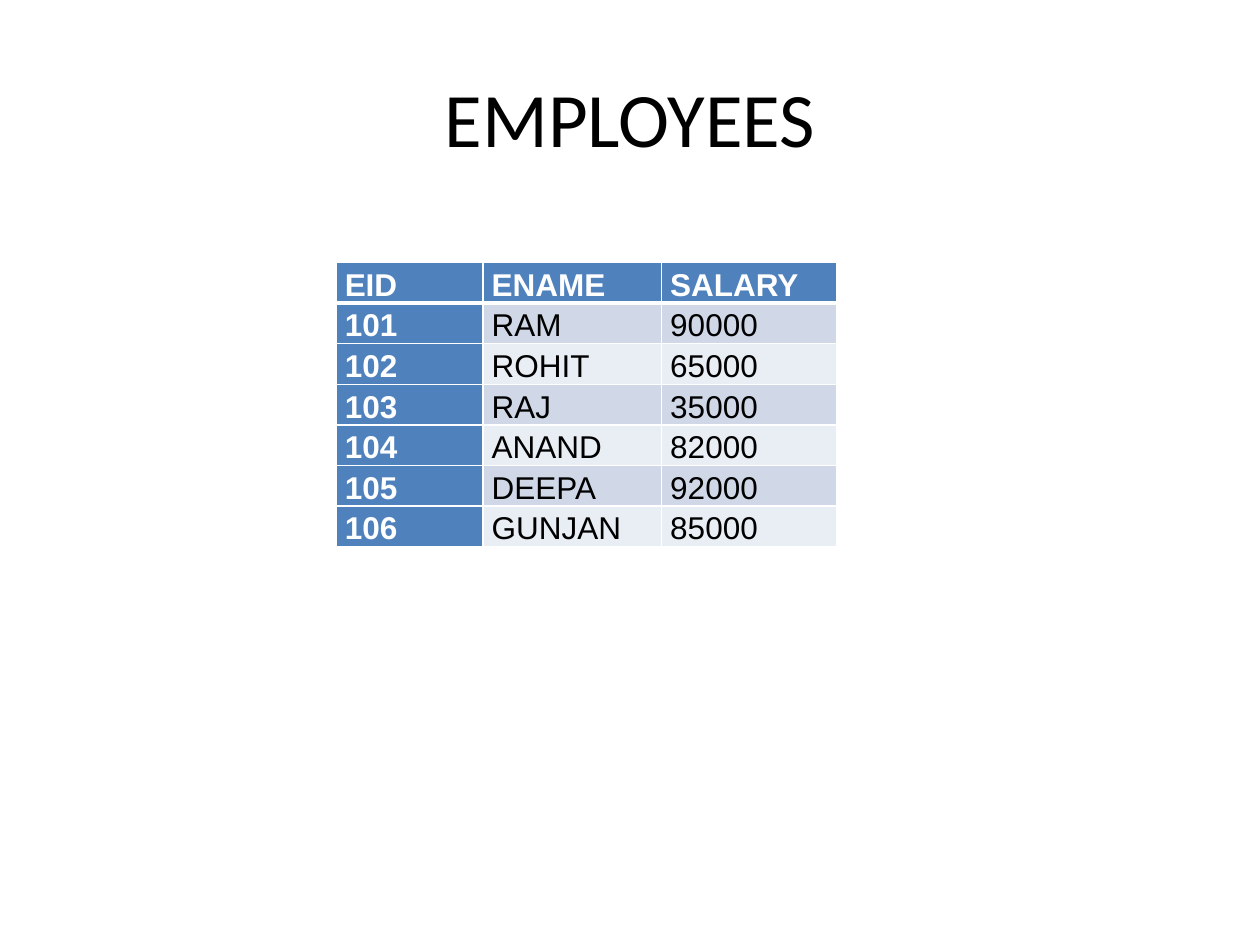
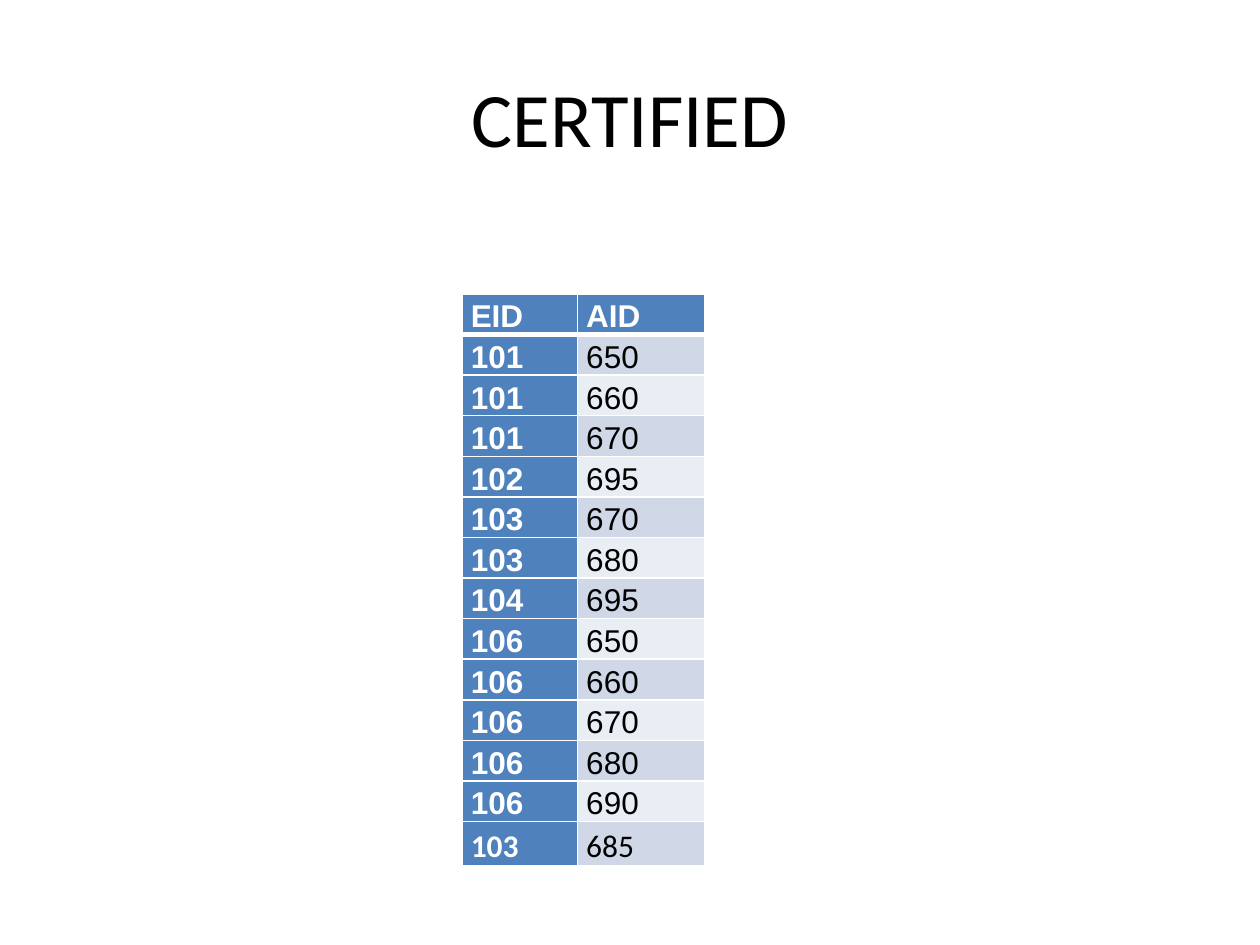
from lxml import etree
from pptx import Presentation
from pptx.dml.color import RGBColor
from pptx.enum.text import MSO_ANCHOR, PP_ALIGN
from pptx.oxml.ns import qn
from pptx.util import Emu, Inches, Pt

CENTER = PP_ALIGN.CENTER
LEFT = PP_ALIGN.LEFT
TOP = MSO_ANCHOR.TOP
MIDDLE = MSO_ANCHOR.MIDDLE
TITLE_ONLY = 5

EMPLOYEES = [
    ("EID", "ENAME", "SALARY"),
    ("101", "RAM", "90000"),
    ("102", "ROHIT", "65000"),
    ("103", "RAJ", "35000"),
    ("104", "ANAND", "82000"),
    ("105", "DEEPA", "92000"),
    ("106", "GUNJAN", "85000"),
]
CERTIFIED = [
    ("EID", "AID"),
    ("101", "650"), ("101", "660"), ("101", "670"),
    ("102", "695"),
    ("103", "670"), ("103", "680"),
    ("104", "695"),
    ("106", "650"), ("106", "660"), ("106", "670"),
    ("106", "680"), ("106", "690"),
    ("103", "685"),
]


def rgb(value):
    return RGBColor.from_string(value)


class Deck:
    """Shared style and the current slide, on a grid of 120 by 90 units."""

    HEAD, BANDS = "4F81BD", ("D0D8E8", "E9EDF4")
    DARK, LIGHT = "000000", "FFFFFF"
    TITLE_FONT, TABLE_FONT = "Calibri", "Arial"
    ROW_HEIGHT = 3.84

    def __init__(self):
        self.prs = Presentation()
        self.prs.slide_width, self.prs.slide_height = Inches(10), Inches(7.5)
        self.unit = self.prs.slide_width / 120
        self.slide = None

    def grid(self, *units):
        return [Emu(round(n * self.unit)) for n in units]

    def style(self, p, font, size, color, bold=False, align=LEFT):
        p.alignment = align
        for r in p.runs:
            r.font.name, r.font.size, r.font.bold = font, Pt(size), bold
            r.font.color.rgb = rgb(color)

    def new_slide(self, title):
        self.slide = self.prs.slides.add_slide(self.prs.slide_layouts[TITLE_ONLY])
        sp = self.slide.shapes.title
        sp.left, sp.top, sp.width, sp.height = self.grid(6, 3.6, 108, 15)
        tf = sp.text_frame
        tf.text = title
        tf.vertical_anchor = MIDDLE
        self.style(tf.paragraphs[0], self.TITLE_FONT, 44, self.DARK, align=CENTER)

    def border(self, cell, side, width):
        tc_pr = cell._tc.get_or_add_tcPr()
        ln = etree.SubElement(tc_pr, qn("a:ln" + side), w=str(Pt(width)))
        fill = etree.SubElement(ln, qn("a:solidFill"))
        etree.SubElement(fill, qn("a:srgbClr"), val=self.LIGHT)

    def cell(self, cell, text, row, col, font):
        is_head = row == 0 or col == 0
        cell.text = text
        cell.margin_left = cell.margin_right = Inches(0.07)
        cell.margin_top = cell.margin_bottom = 0
        cell.vertical_anchor = TOP
        # A thick rule separates the header from the rows
        thick_side = {0: "B", 1: "T"}.get(row)
        for side in "LRTB":
            self.border(cell, side, 3 if side == thick_side else 1)
        cell.fill.solid()
        cell.fill.fore_color.rgb = rgb(self.HEAD if is_head else self.BANDS[(row - 1) % 2])
        p = cell.text_frame.paragraphs[0]
        p.line_spacing = 1.15
        self.style(p, font, 18, self.LIGHT if is_head else self.DARK, bold=is_head)

    def table(self, left, top, widths, data, row_fonts=None):
        """Add a table; row_fonts maps a row number to a font of its own."""
        row_fonts = row_fonts or {}
        box = self.grid(left, top, sum(widths), self.ROW_HEIGHT * len(data))
        table = self.slide.shapes.add_table(len(data), len(widths), *box).table
        for column, width in zip(table.columns, self.grid(*widths)):
            column.width = width
        table.first_col = True
        for i, values in enumerate(data):
            font = row_fonts.get(i, self.TABLE_FONT)
            for j, text in enumerate(values):
                self.cell(table.cell(i, j), text, i, j, font)


def main():
    deck = Deck()

    # Employees and their salaries
    deck.new_slide("EMPLOYEES")
    deck.table(32, 25, (14, 17, 16.7), EMPLOYEES)

    # Certifications per employee, the last row in the title font
    deck.new_slide("CERTIFIED")
    deck.table(44, 28, (11, 12.1), CERTIFIED, {len(CERTIFIED) - 1: deck.TITLE_FONT})

    deck.prs.save("out.pptx")


if __name__ == "__main__":
    main()
